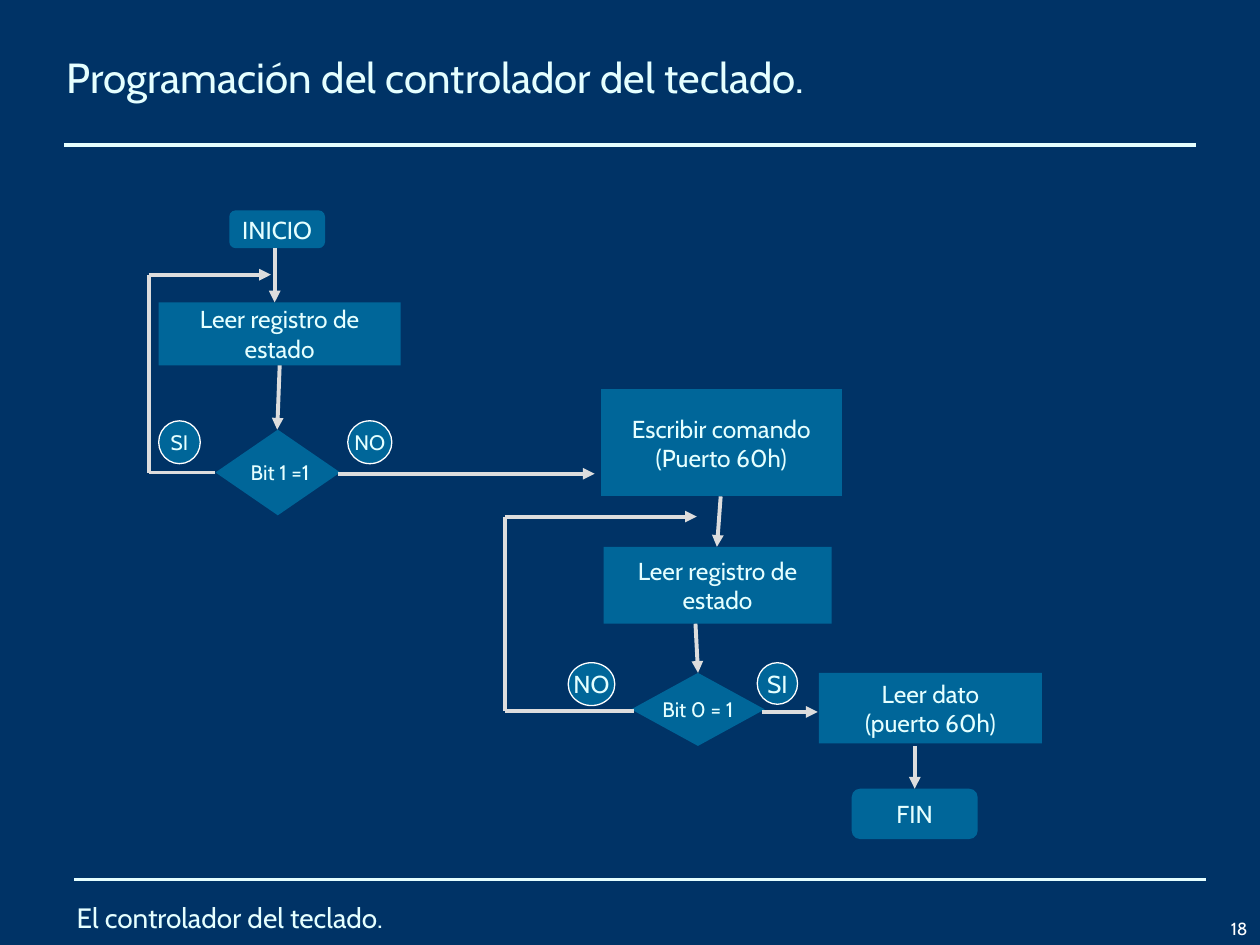
from lxml import etree
from pptx import Presentation
from pptx.dml.color import RGBColor
from pptx.enum.shapes import MSO_CONNECTOR, MSO_SHAPE
from pptx.enum.text import MSO_ANCHOR, PP_ALIGN
from pptx.oxml.ns import qn
from pptx.util import Inches, Pt

STRAIGHT = MSO_CONNECTOR.STRAIGHT
TERMINAL = MSO_SHAPE.FLOWCHART_ALTERNATE_PROCESS
PROCESS = MSO_SHAPE.FLOWCHART_PROCESS
RECT = MSO_SHAPE.RECTANGLE
DECISION = MSO_SHAPE.FLOWCHART_DECISION
CIRCLE = MSO_SHAPE.FLOWCHART_CONNECTOR
TOP, MIDDLE, BOTTOM = MSO_ANCHOR.TOP, MSO_ANCHOR.MIDDLE, MSO_ANCHOR.BOTTOM
LEFT, CENTER, RIGHT = PP_ALIGN.LEFT, PP_ALIGN.CENTER, PP_ALIGN.RIGHT

FONT = "Cabin"
COLORS = {
    "background": "003366",
    "text": "E5FFFF",
    "node": "006699",
    "arrow": "DDDDDD",
    "white": "FFFFFF",
}

NODES = [
    (TERMINAL, 1.82, 1.67, 0.76, 0.3, ["INICIO"], 14),
    (RECT, 1.26, 2.4, 1.92, 0.5, ["Leer registro de", "estado"], 14),
    (DECISION, 1.71, 3.41, 0.99, 0.68, [" Bit 1 =1"], 12),
    (PROCESS, 4.77, 3.09, 1.91, 0.85, ["Escribir comando", "(Puerto 60h)"], 14),
    (RECT, 4.79, 4.34, 1.81, 0.61, ["Leer registro de", "estado"], 14),
    (DECISION, 5.01, 5.34, 1.06, 0.58, ["Bit 0 = 1"], 12),
    (RECT, 6.5, 5.34, 1.77, 0.56, ["Leer dato", "(puerto 60h)"], 14),
    (TERMINAL, 6.76, 6.26, 1, 0.4, ["FIN"], 14),
    (CIRCLE, 1.26, 3.34, 0.33, 0.34, ["SI"], 12),
    (CIRCLE, 2.76, 3.34, 0.35, 0.34, ["NO"], 12),
    (CIRCLE, 4.51, 5.26, 0.37, 0.34, ["NO"], 14),
    (CIRCLE, 6.01, 5.26, 0.32, 0.33, ["SI"], 14),
]

ROUTES = [
    [(2.18, 1.97), (2.18, 2.4)],
    [(2.22, 2.9), (2.2, 3.41)],
    [(1.71, 3.75), (1.18, 3.75), (1.18, 2.18), (2.15, 2.18)],
    [(2.68, 3.76), (4.72, 3.76)],
    [(5.72, 3.94), (5.69, 4.34)],
    [(5.52, 4.95), (5.54, 5.34)],
    [(5.03, 5.64), (4.01, 5.64), (4.01, 4.1), (5.53, 4.1)],
    [(6.05, 5.65), (6.49, 5.65)],
    [(7.26, 5.92), (7.26, 6.26)],
]


def rgb(name):
    return RGBColor.from_string(COLORS[name])


def write(sp, lines, size, align=LEFT, anchor=MIDDLE, color="text", wrap=True):
    tf = sp.text_frame
    tf.word_wrap = wrap
    tf.vertical_anchor = anchor
    tf.margin_left = tf.margin_right = Inches(0.1)
    tf.margin_top = tf.margin_bottom = Inches(0.05)
    for i, line in enumerate(lines):
        p = tf.add_paragraph() if i else tf.paragraphs[0]
        p.alignment = align
        p.space_before = Pt(0)
        r = p.add_run()
        r.text = line
        r.font.name = FONT
        r.font.size = Pt(size)
        r.font.color.rgb = rgb(color)


def add_title(s, text):
    sp = s.shapes.title
    sp.left, sp.top = Inches(0.43), Inches(0.36)
    sp.width, sp.height = Inches(8.08), Inches(0.5)
    write(sp, [text], 24, anchor=TOP)


def add_label(s, x, y, w, h, text, size, **style):
    sp = s.shapes.add_textbox(Inches(x), Inches(y), Inches(w), Inches(h))
    write(sp, [text], size, **style)


def add_node(s, kind, x, y, w, h, lines, size):
    sp = s.shapes.add_shape(kind, Inches(x), Inches(y), Inches(w), Inches(h))
    sp.shadow.inherit = False
    sp.fill.solid()
    sp.fill.fore_color.rgb = rgb("node")
    if kind == CIRCLE:
        sp.line.color.rgb = rgb("white")
        sp.line.width = Pt(0.75)
    else:
        sp.line.fill.background()
    write(sp, lines, size, align=CENTER, wrap=False)


def add_line(s, start, end, color, arrow=False):
    x1, y1, x2, y2 = (Inches(v) for v in start + end)
    cxn = s.shapes.add_connector(STRAIGHT, x1, y1, x2, y2)
    cxn.line.color.rgb = rgb(color)
    cxn.line.width = Pt(2.25)
    if arrow:
        ln = cxn.line._get_or_add_ln()
        etree.SubElement(ln, qn("a:tailEnd"), type="triangle")
    etree.SubElement(cxn._element.spPr, qn("a:effectLst"))


def add_route(s, points):
    last = len(points) - 2
    for i, (start, end) in enumerate(zip(points, points[1:])):
        add_line(s, start, end, "arrow", arrow=i == last)


def main():
    prs = Presentation()
    prs.slide_width, prs.slide_height = Inches(10), Inches(7.5)
    s = prs.slides.add_slide(prs.slide_layouts[5])
    s.background.fill.solid()
    s.background.fill.fore_color.rgb = rgb("background")

    add_line(s, (0.51, 1.15), (9.49, 1.15), "text")
    add_line(s, (0.59, 6.98), (9.57, 6.98), "text")
    add_title(s, "Programación del controlador del teclado.")
    for node in NODES:
        add_node(s, *node)
    for points in ROUTES:
        add_route(s, points)
    add_label(s, 0.51, 7.06, 9, 0.44, "El controlador del teclado.", 16)
    add_label(s, 9.44, 7.13, 0.56, 0.37, "18", 10,
              align=RIGHT, anchor=BOTTOM, color="white")
    prs.save("out.pptx")


if __name__ == "__main__":
    main()
